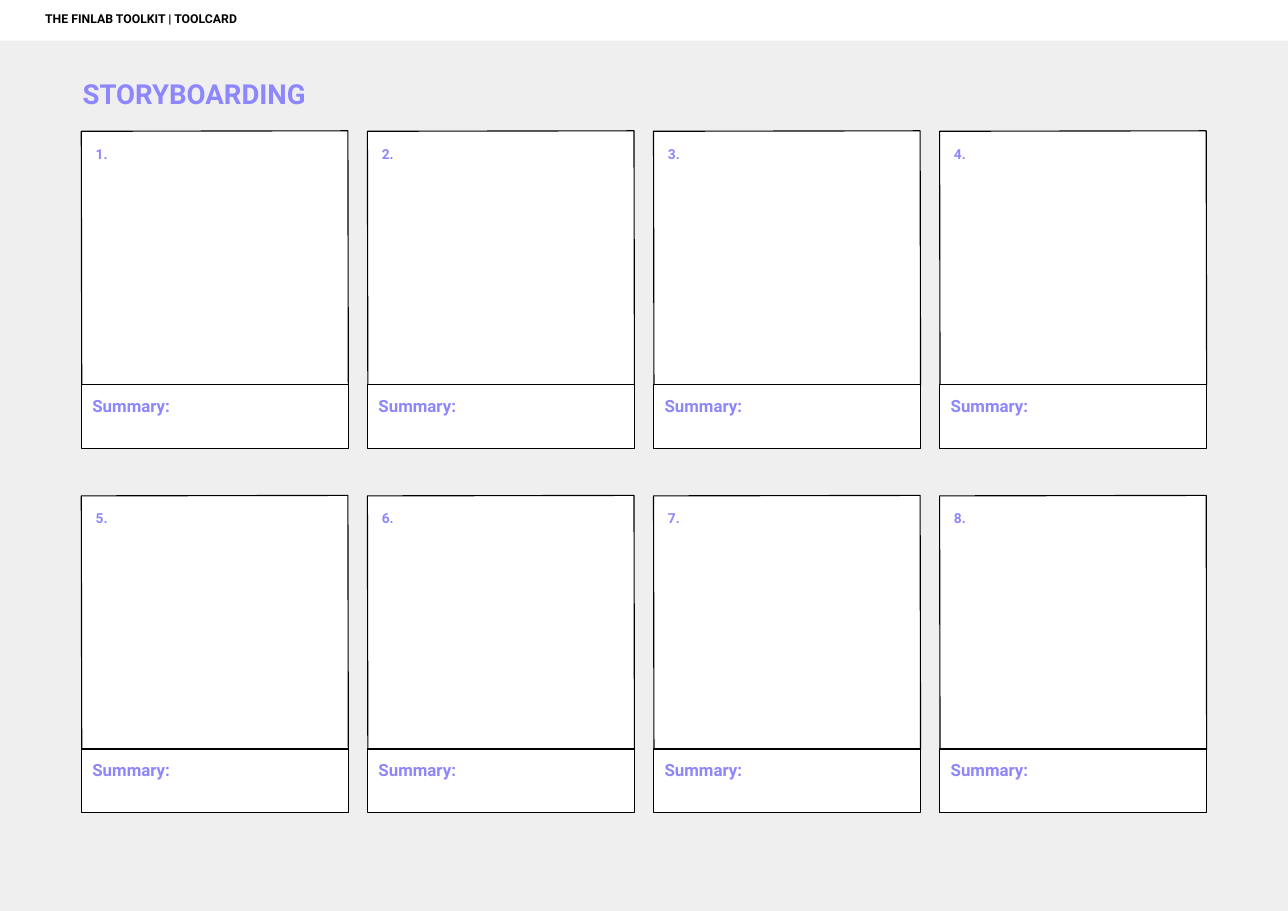
import pptx
import pptx.util
import pptx.dml.color
import pptx.enum.shapes
import pptx.enum.text

PAGE_W, PAGE_H = 11.69, 8.27
VIOLET, BLACK, WHITE, GREY = "8D86FC", "000000", "FFFFFF", "EFEFEF"
TOP = pptx.enum.text.MSO_ANCHOR.TOP
MIDDLE = pptx.enum.text.MSO_ANCHOR.MIDDLE

deck = pptx.Presentation()
deck.slide_width = pptx.util.Inches(PAGE_W)
deck.slide_height = pptx.util.Inches(PAGE_H)
storyboard = deck.slides.add_slide(deck.slide_layouts[6])


def paint(colour_format, colour):
    colour_format.rgb = pptx.dml.color.RGBColor.from_string(colour)


def panel(box, fill=None, outline=None, text="", size=9, colour=VIOLET,
          inset=0.1, left_inset=None, anchor=TOP):
    """Rectangle with an optional fill, outline and bold label."""
    shape = storyboard.shapes.add_shape(
        pptx.enum.shapes.MSO_SHAPE.RECTANGLE, *map(pptx.util.Inches, box))
    shape.shadow.inherit = False
    if fill:
        shape.fill.solid()
        paint(shape.fill.fore_color, fill)
    else:
        shape.fill.background()
    if outline:
        paint(shape.line.color, outline)
        shape.line.width = pptx.util.Pt(0.75)
    else:
        shape.line.fill.background()
    if text:
        margin = pptx.util.Inches(inset)
        frame_format = {
            "word_wrap": True, "vertical_anchor": anchor,
            "margin_left": pptx.util.Inches(left_inset or inset),
            "margin_top": margin, "margin_right": margin, "margin_bottom": margin}
        for key, value in frame_format.items():
            setattr(shape.text_frame, key, value)
        label = shape.text_frame.paragraphs[0]
        label.alignment = pptx.enum.text.PP_ALIGN.LEFT
        label.text = text
        font = label.runs[0].font
        font_format = {"name": "Roboto", "size": pptx.util.Pt(size), "bold": True}
        for key, value in font_format.items():
            setattr(font, key, value)
        paint(font.color, colour)
    return shape


# Background and title
panel((0, 0, PAGE_W, PAGE_H), GREY)
panel((0.27, 0.59, 6.64, 0.51), text="STORYBOARDING", size=18,
      left_inset=0.48, anchor=MIDDLE)

# Grid of scenes, each a frame with its summary below
COLUMNS, ROWS = 4, 2
MARGIN, GRID_TOP = 0.74, 1.19
SCENE_W, FRAME_H, SUMMARY_H = 2.42, 2.31, 0.58
COLUMN_STEP = (PAGE_W - 2 * MARGIN - SCENE_W) / (COLUMNS - 1)
ROW_STEP = 3.31

for scene in range(COLUMNS * ROWS):
    row, column = divmod(scene, COLUMNS)
    left = MARGIN + column * COLUMN_STEP
    top = GRID_TOP + row * ROW_STEP
    frame = panel((left, top, SCENE_W, FRAME_H), WHITE, BLACK,
                  f"{scene + 1}.", inset=0.13)
    frame.rotation = 359.9
    panel((left, top + FRAME_H - 0.01, SCENE_W, SUMMARY_H), WHITE, BLACK,
          "Summary:", size=11)

# Header band
panel((0, 0, PAGE_W, 0.37), WHITE, text="THE FINLAB TOOLKIT | TOOLCARD",
      size=8, colour=BLACK, left_inset=0.41)

deck.save("out.pptx")
